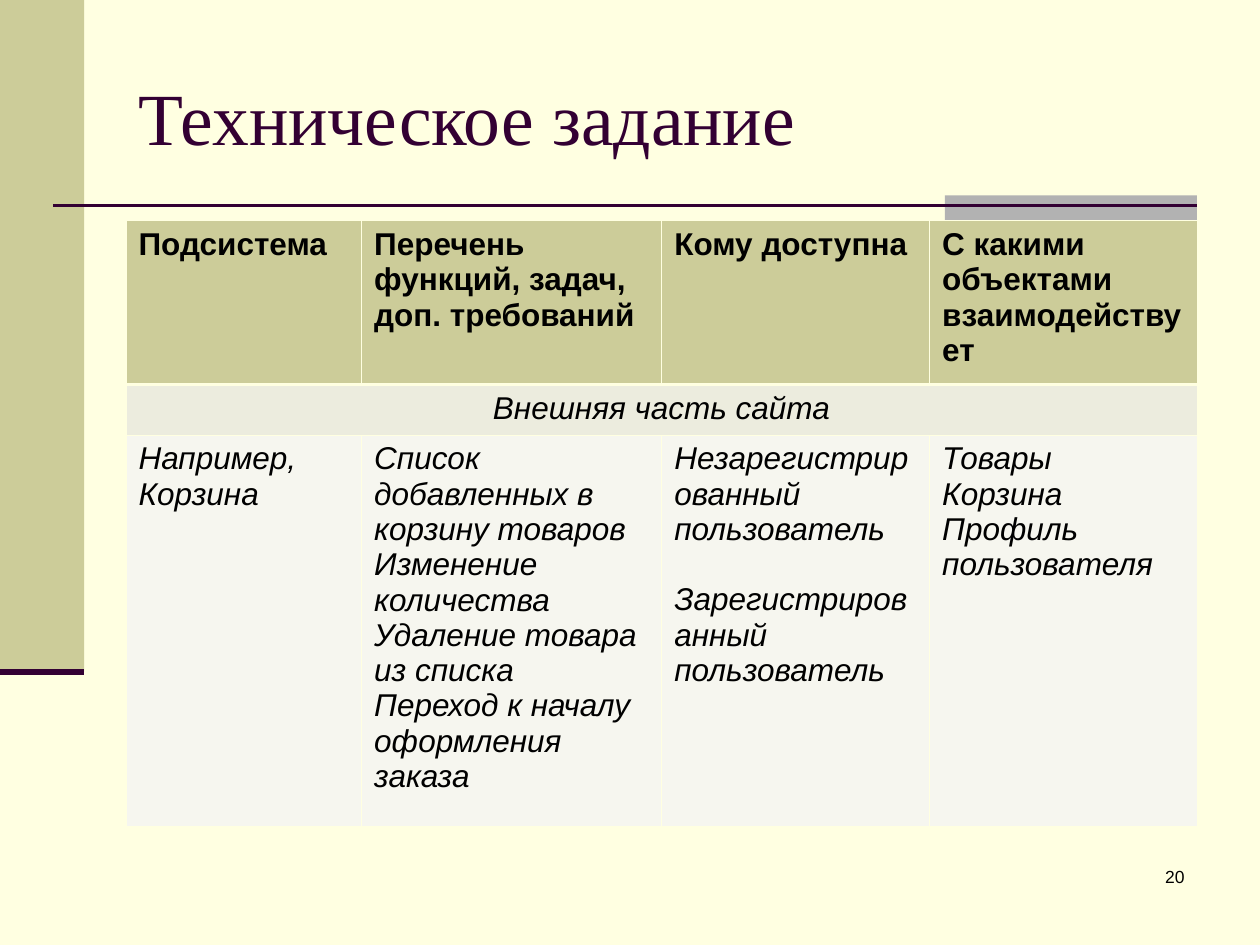
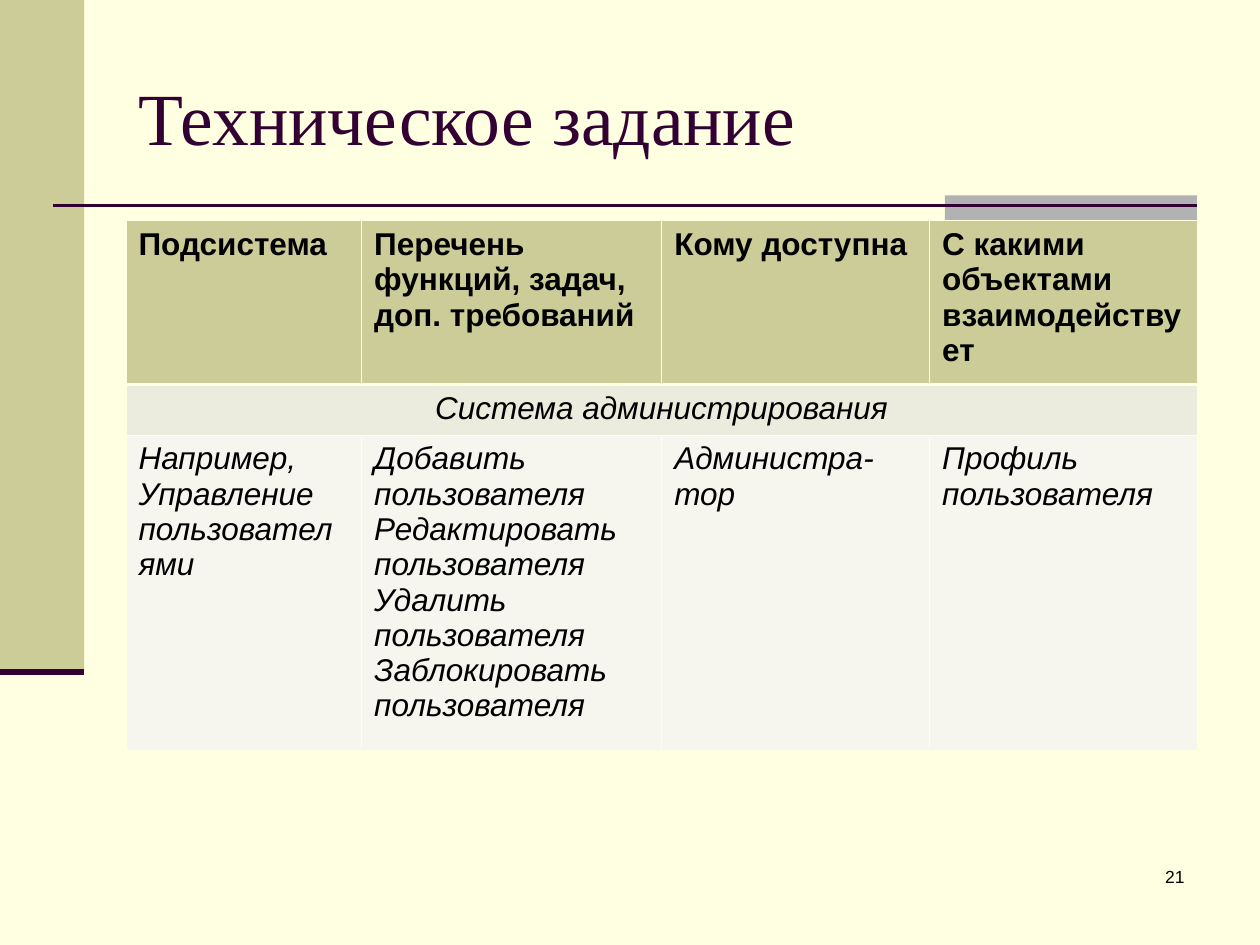
"""Builds two slides with requirement tables for a site specification."""
from lxml.etree import SubElement
from pptx import Presentation
from pptx.dml.color import RGBColor
from pptx.enum.shapes import MSO_CONNECTOR, MSO_SHAPE
from pptx.enum.text import MSO_ANCHOR, MSO_AUTO_SIZE, PP_ALIGN
from pptx.oxml.ns import qn
from pptx.util import Cm, Pt

COLORS = {
    "paper": "FFFFE1",
    "olive": "CCCC99",
    "gray": "B2B2B2",
    "plum": "330033",
    "band": "ECECDE",
    "body": "F6F6EF",
    "text": "000000",
}
TITLE = "Техническое задание"
HEADERS = [
    "Подсистема",
    "Перечень функций, задач, доп. требований",
    "Кому доступна",
    "С какими объектами взаимодействует",
]
COLUMN_WIDTHS = [4.75, 6.05, 5.4, 5.39]
HEADER_HEIGHT, BAND_HEIGHT = 3.3, 1.02
THIN, THICK = 0.45, 1.47
FIRST_NUMBER = 20
SECTIONS = [
    {
        "band": "Внешняя часть сайта",
        "height": 7.88,
        "cells": [
            ["Например, Корзина"],
            ["Список добавленных в корзину товаров", "Изменение количества",
             "Удаление товара из списка", "Переход к началу оформления заказа"],
            ["Незарегистрированный", "пользователь", "Зарегистрированный пользователь"],
            ["Товары", "Корзина", "Профиль пользователя"],
        ],
        "gap_before": "Зарегистрированный пользователь",
    },
    {
        "band": "Система администрирования",
        "height": 6.35,
        "cells": [
            ["Например, Управление пользователями"],
            ["Добавить пользователя", "Редактировать пользователя",
             "Удалить пользователя", "Заблокировать пользователя"],
            ["Администра-тор"],
            ["Профиль пользователя"],
        ],
        "gap_before": None,
    },
]


def rgb(name):
    return RGBColor.from_string(COLORS[name])


class SlideBuilder:
    def __init__(self):
        self.deck = Presentation()
        self.deck.slide_width, self.deck.slide_height = Cm(25.4), Cm(19.05)
        background = self.deck.slide_master.background.fill
        background.solid()
        background.fore_color.rgb = rgb("paper")
        self.page = None

    def start_page(self):
        self.page = self.deck.slides.add_slide(self.deck.slide_layouts[5])
        self.rectangle(0, 0, 1.7, 13.54, "olive")
        self.rectangle(19.05, 3.94, 5.08, 0.51, "gray")
        self.line(1.07, 4.14, 24.13, 4.14, 1.5)
        self.line(0, 13.54, 1.7, 13.54, 3.5)

    def rectangle(self, left, top, width, height, color):
        box = self.page.shapes.add_shape(
            MSO_SHAPE.RECTANGLE, Cm(left), Cm(top), Cm(width), Cm(height))
        box.shadow.inherit = False
        box.fill.solid()
        box.fill.fore_color.rgb = rgb(color)
        box.line.fill.background()

    def line(self, x1, y1, x2, y2, weight):
        line = self.page.shapes.add_connector(
            MSO_CONNECTOR.STRAIGHT, Cm(x1), Cm(y1), Cm(x2), Cm(y2))
        line.line.color.rgb = rgb("plum")
        line.line.width = Pt(weight)
        SubElement(line._element.spPr, qn("a:effectLst"))

    def style(self, para, size, color="text", font="Arial", bold=False,
              italic=False, align=PP_ALIGN.LEFT):
        para.alignment = align
        para.font.name, para.font.size = font, Pt(size)
        para.font.bold, para.font.italic = bold, italic
        para.font.color.rgb = rgb(color)

    def title(self, text):
        box = self.page.shapes.title
        box.left, box.top, box.width, box.height = Cm(2.54), Cm(0.76), Cm(21.59), Cm(3.18)
        frame = box.text_frame
        frame.text = text
        frame.auto_size = MSO_AUTO_SIZE.NONE
        frame.vertical_anchor = MSO_ANCHOR.MIDDLE
        self.style(frame.paragraphs[0], 42, "plum", "Times New Roman")

    def page_number(self, number):
        box = self.page.shapes.add_textbox(Cm(18.85), Cm(17.34), Cm(5.28), Cm(1.27))
        frame = box.text_frame
        frame.word_wrap = True
        frame.text = str(number)
        self.style(frame.paragraphs[0], 10, align=PP_ALIGN.RIGHT)

    def cell(self, cell, lines, fill, top=THIN, bottom=THIN, gap_before=None, **font):
        properties = cell._tc.get_or_add_tcPr()
        for side, weight in zip("LRTB", (THIN, THIN, top, bottom)):
            border = SubElement(properties, qn(f"a:ln{side}"), w=str(Pt(weight)))
            solid = SubElement(border, qn("a:solidFill"))
            SubElement(solid, qn("a:srgbClr"), val=COLORS["paper"])
        cell.fill.solid()
        cell.fill.fore_color.rgb = rgb(fill)
        cell.text = "\n".join(lines)
        for para, line in zip(cell.text_frame.paragraphs, lines):
            self.style(para, 18, **font)
            if line == gap_before:
                para.space_before = Pt(20)

    def table(self, section):
        heights = [HEADER_HEIGHT, BAND_HEIGHT, section["height"]]
        table = self.page.shapes.add_table(
            len(heights), len(HEADERS), Cm(2.54), Cm(4.45),
            Cm(sum(COLUMN_WIDTHS)), Cm(sum(heights))).table
        table.horz_banding = False
        for column, width in zip(table.columns, COLUMN_WIDTHS):
            column.width = Cm(width)
        for row, height in zip(table.rows, heights):
            row.height = Cm(height)
        table.cell(1, 0).merge(table.cell(1, len(HEADERS) - 1))
        for index, (header, lines) in enumerate(zip(HEADERS, section["cells"])):
            self.cell(table.cell(0, index), [header], "olive", bottom=THICK, bold=True)
            band = [section["band"]] if index == 0 else []
            self.cell(table.cell(1, index), band, "band", top=THICK,
                      italic=True, align=PP_ALIGN.CENTER)
            self.cell(table.cell(2, index), lines, "body",
                      gap_before=section["gap_before"], italic=True)


def main():
    builder = SlideBuilder()
    for number, section in enumerate(SECTIONS, FIRST_NUMBER):
        builder.start_page()
        builder.title(TITLE)
        builder.table(section)
        builder.page_number(number)
    builder.deck.save("out.pptx")


if __name__ == "__main__":
    main()
